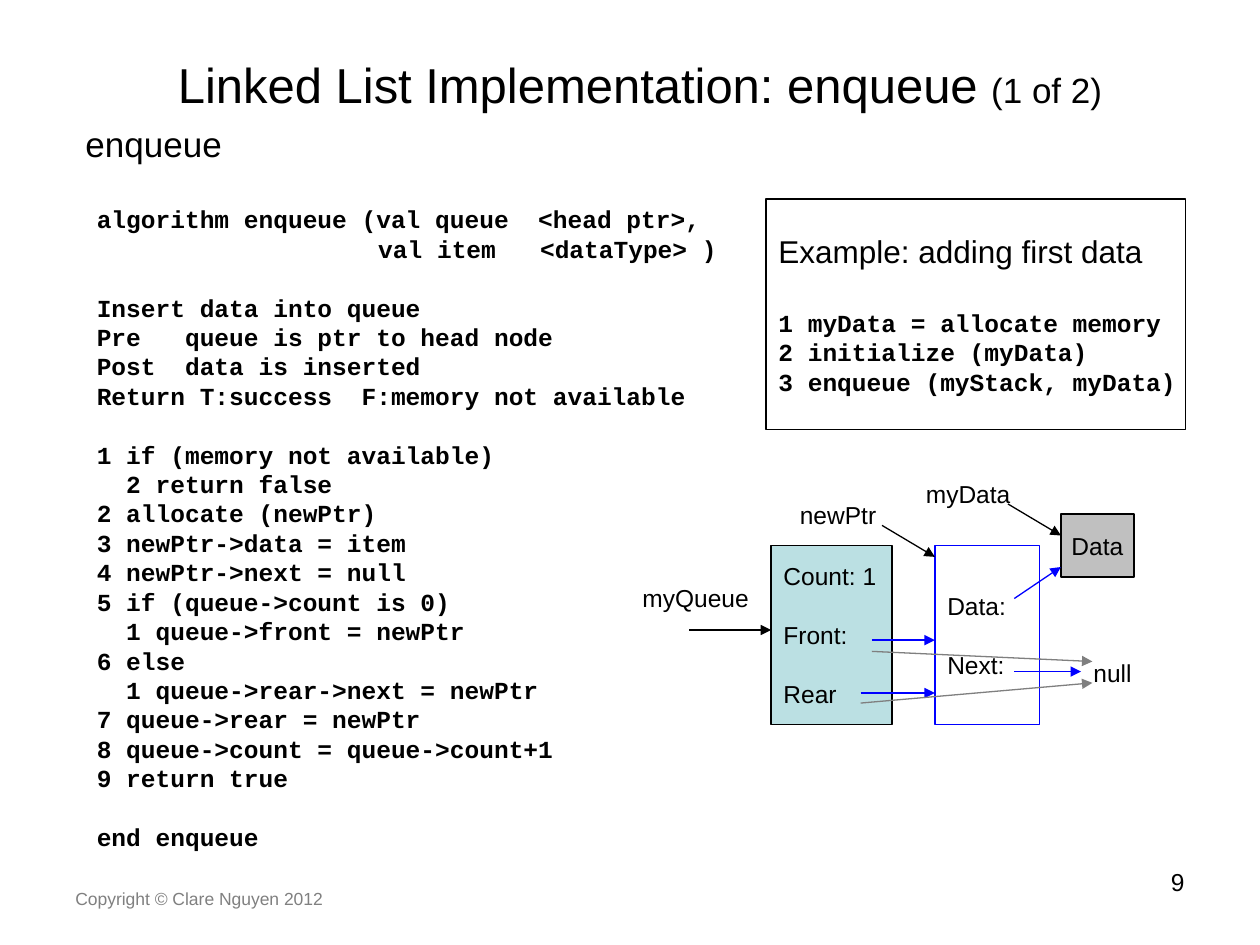
from lxml import etree
from pptx import Presentation
from pptx.dml.color import RGBColor
from pptx.enum.shapes import MSO_CONNECTOR, MSO_SHAPE
from pptx.enum.text import MSO_ANCHOR, PP_ALIGN
from pptx.oxml.ns import qn
from pptx.util import Inches, Pt

LINE, RECT = MSO_CONNECTOR.STRAIGHT, MSO_SHAPE.RECTANGLE
TOP, MID = MSO_ANCHOR.TOP, MSO_ANCHOR.MIDDLE
LEFT, MIDDLE, RIGHT = PP_ALIGN.LEFT, PP_ALIGN.CENTER, PP_ALIGN.RIGHT
BLACK = RGBColor(0x00, 0x00, 0x00)
BLUE = RGBColor(0x00, 0x00, 0xFF)
GRAY = RGBColor(0x7F, 0x7F, 0x7F)
PALE = RGBColor(0xC0, 0xC0, 0xC0)
TEAL = RGBColor(0xBB, 0xE0, 0xE3)
FOOT = RGBColor(0x80, 0x80, 0x80)
SANS, MONO = "Arial", "Courier New"

# Content: each inner list is a block, with a gap of one line between blocks
CODE = [
    ["algorithm enqueue (val queue  <head ptr>,",
     "      \t\t  val item   <dataType> )"],
    ["Insert data into queue",
     "Pre   queue is ptr to head node",
     "Post  data is inserted",
     "Return T:success  F:memory not available"],
    ["1 if (memory not available)",
     "  2 return false",
     "2 allocate (newPtr)",
     "3 newPtr->data = item",
     "4 newPtr->next = null",
     "5 if (queue->count is 0)",
     "  1 queue->front = newPtr",
     "6 else",
     "  1 queue->rear->next = newPtr",
     "7 queue->rear = newPtr",
     "8 queue->count = queue->count+1",
     "9 return true"],
    ["end enqueue"],
]
STEPS = ["1 myData = allocate memory",
         "2 initialize (myData)",
         "3 enqueue (myStack, myData)"]
# Node: place, fill, line, fields, format
NODES = [
    ((6.12, 4.33, 0.96, 1.42), TEAL, BLACK, ["Count: 1", "Front:", "Rear"], {}),
    ((7.42, 4.33, 0.83, 1.42), None, BLUE, ["Data:", "Next:"], {}),
    ((8.42, 4.08, 0.58, 0.5), PALE, BLACK, ["Data"],
     {"align": MIDDLE, "wrap": False}),
]
LABELS = [
    ("myQueue", (5, 4.58, 1.07, 0.34)),
    ("newPtr", (6.25, 3.92, 0.87, 0.34)),
    ("myData", (7.25, 3.75, 0.9, 0.34)),
    ("null", (8.58, 5.17, 0.64, 0.34)),
]
# Arrow: start, end, colour, width
ARROWS = [
    ((5.47, 5), (6.12, 5), BLACK, 1.5),
    ((7, 4.17), (7.42, 4.42), BLACK, 0.75),
    ((8, 4), (8.42, 4.25), BLACK, 0.75),
    ((6.92, 5.08), (7.42, 5.08), BLUE, 0.75),
    ((6.83, 5.5), (7.42, 5.5), BLUE, 0.75),
    ((8.05, 4.75), (8.42, 4.5), BLUE, 0.75),
    ((8.05, 5.33), (8.58, 5.33), BLUE, 0.75),
    ((6.92, 5.17), (8.67, 5.25), GRAY, 0.75),
    ((6.83, 5.58), (8.67, 5.42), GRAY, 0.75),
]

deck = Presentation()
deck.slide_width, deck.slide_height = Inches(10), Inches(7.5)
slide = deck.slides.add_slide(deck.slide_layouts[6])
shapes = slide.shapes


def write(shape, text, size=14, font=SANS, color=BLACK, bold=False,
          align=LEFT, anchor=TOP, wrap=True, gap=0, tabs=()):
    """Add one paragraph; the first call fills the empty one."""
    frame = shape.text_frame
    frame.word_wrap, frame.vertical_anchor = wrap, anchor
    para = frame.paragraphs[0]
    if para.runs:
        para = frame.add_paragraph()
        para.space_before = Pt(gap)
    para.alignment = align
    para.line_spacing = Pt(1.2 * size)
    if tabs:
        stops = etree.SubElement(para._p.get_or_add_pPr(), qn("a:tabLst"))
        for stop in tabs:
            etree.SubElement(stops, qn("a:tab"), pos=str(Inches(stop)),
                             algn="l")
    add_run(para, text, size, font, color, bold)
    return para


def add_run(para, text, size, font=SANS, color=BLACK, bold=False):
    run = para.add_run()
    run.text = text
    run.font.size, run.font.name, run.font.bold = Pt(size), font, bold
    run.font.color.rgb = color


def area(place):
    return shapes.add_textbox(*map(Inches, place))


def box(place, fill, color):
    shape = shapes.add_shape(RECT, *map(Inches, place))
    shape.shadow.inherit = False
    if fill is None:
        shape.fill.background()
    else:
        shape.fill.solid()
        shape.fill.fore_color.rgb = fill
    shape.line.color.rgb, shape.line.width = color, Pt(0.75)
    return shape


def arrow(start, end, color, width):
    link = shapes.add_connector(LINE, *map(Inches, start + end))
    link.line.color.rgb, link.line.width = color, Pt(width)
    props = link.line._get_or_add_ln()
    etree.SubElement(props, qn("a:tailEnd"), type="triangle")
    etree.SubElement(link._element.spPr, qn("a:effectLst"))


# Title, heading and footer
title = write(area((0.58, 0.33, 9, 0.67)),
              "Linked List Implementation: enqueue ",
              size=28, align=MIDDLE, anchor=MID)
add_run(title, "(1 of 2)", 20)
write(area((0.58, 0.92, 9, 0.5)), "enqueue", size=20)
write(area((0.5, 7, 3.17, 0.27)), "Copyright © Clare Nguyen 2012",
      size=10, color=FOOT)
write(area((7.17, 6.83, 2.33, 0.52)), "9", align=RIGHT)

# Algorithm listing
listing = area((0.67, 1.57, 5.17, 5.24))
for block in CODE:
    for row, text in enumerate(block):
        write(listing, text, font=MONO, bold=True, anchor=MID,
              gap=0 if row else 16.8, tabs=(1, 2))

# Example box
example = box((6.08, 1.58, 3.33, 1.83), None, BLACK)
write(example, "Example: adding first data", size=18, anchor=MID, wrap=False)
for row, text in enumerate(STEPS):
    write(example, text, font=MONO, bold=True, anchor=MID, wrap=False,
          gap=0 if row else 21.6)

# Queue diagram
for place, fill, color, fields, style in NODES:
    node = box(place, fill, color)
    for text in fields:
        write(node, text, anchor=MID, gap=16.8, **style)
for text, place in LABELS:
    write(area(place), text)
for item in ARROWS:
    arrow(*item)

deck.save("out.pptx")
